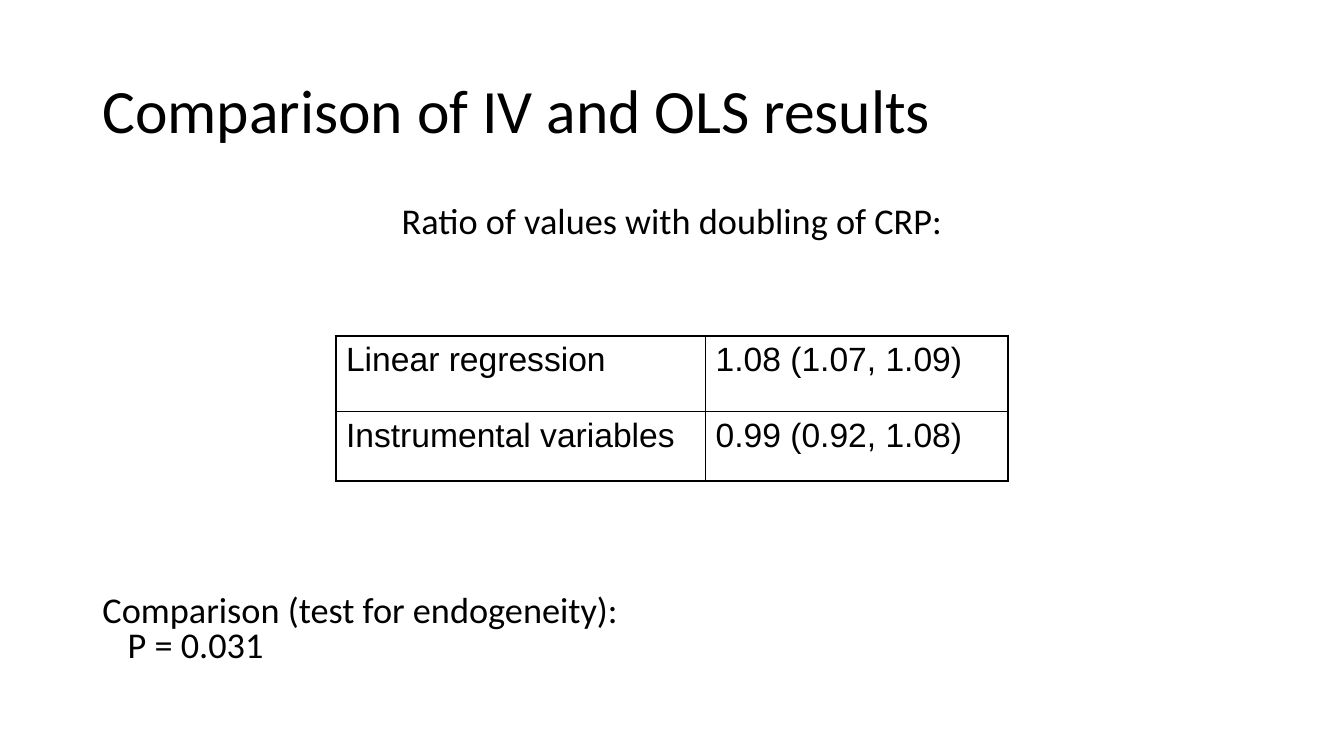
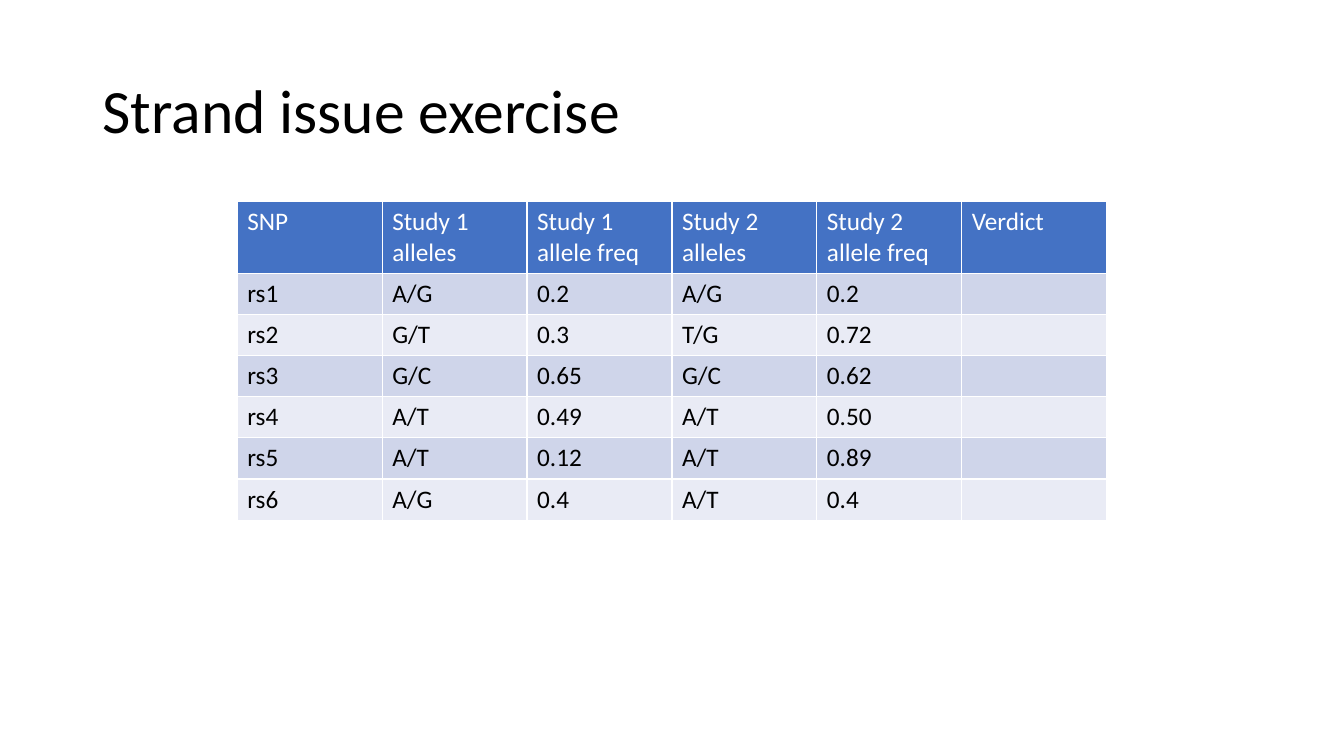
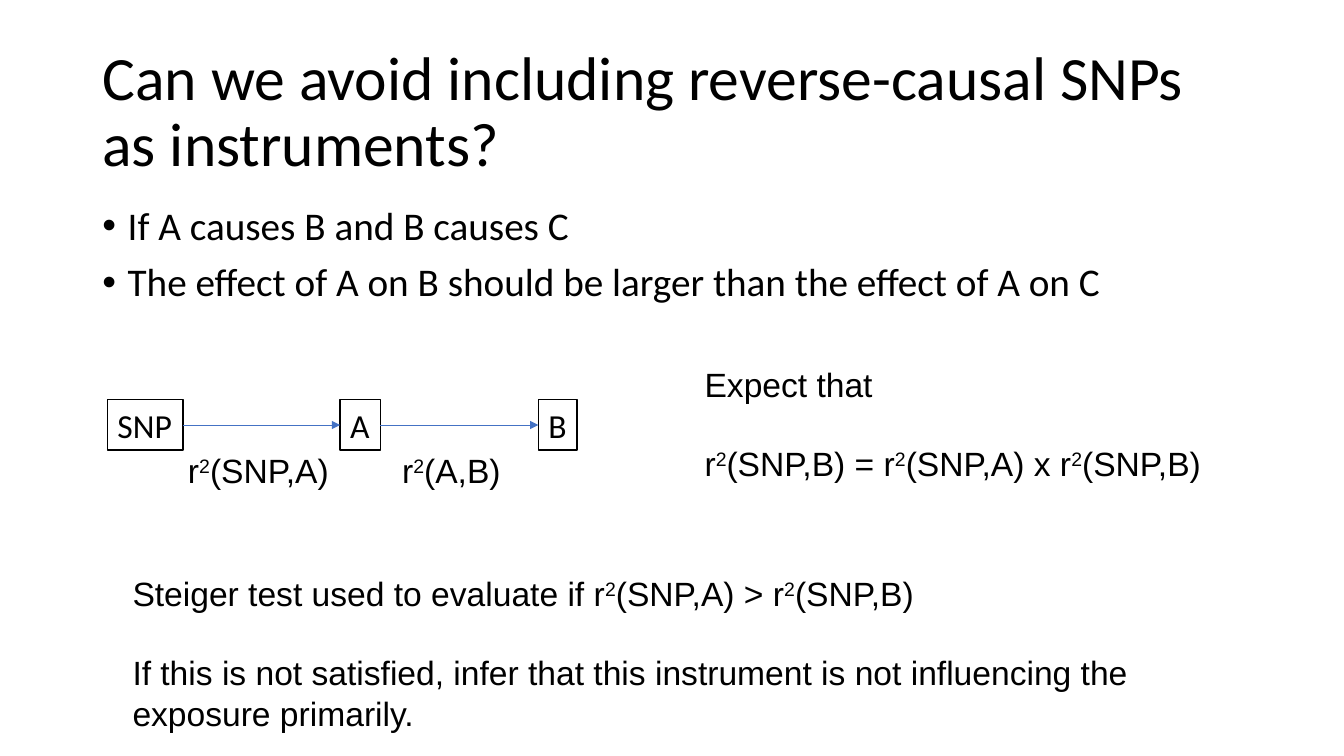
import dataclasses
import lxml.etree
import pptx
import pptx.dml.color
import pptx.enum.dml
import pptx.enum.shapes
import pptx.enum.text
import pptx.oxml.ns
import pptx.util

COLUMNS, ROWS = 160, 90
CELL = pptx.util.Inches(1 / 12)
qn = pptx.oxml.ns.qn


@dataclasses.dataclass(frozen=True)
class Theme:
    heading_font: str = "Calibri"
    plain_font: str = "Arial"
    ink: str = "000000"
    paper: str = "FFFFFF"
    accent: str = "4472C4"
    bands: tuple = ("CFD5EA", "E9EBF5")
    title_size: float = 44
    list_size: float = 28
    note_size: float = 25.9
    label_size: float = 24
    cell_size: float = 18
    thick: float = 2.25
    thin: float = 1
    hairline: float = 0.5


@dataclasses.dataclass(frozen=True)
class Box:
    left: float
    top: float
    width: float
    height: float

    def inner(self, left, top, width, height):
        return Box(self.left + left, self.top + top, width, height)

    def lengths(self):
        return [round(n * CELL) for n in (self.left, self.top, self.width, self.height)]


THEME = Theme()
TITLE = Box(11, 4.8, 138, 17.4)
BODY = Box(11, 24, 138, 57.1)


def colour(value):
    return pptx.dml.color.RGBColor.from_string(value)


def style(para, size, font=THEME.heading_font, ink=THEME.ink):
    para.font.name = font
    para.font.size = pptx.util.Pt(size)
    para.font.bold = False
    para.font.color.rgb = colour(ink)


def move(shape, box):
    shape.left, shape.top, shape.width, shape.height = box.lengths()


def add_page(deck, layout, title):
    page = deck.slides.add_slide(deck.slide_layouts.get_by_name(layout))
    holder = page.shapes.title
    move(holder, TITLE)
    frame = holder.text_frame
    frame.text = title
    frame.auto_size = pptx.enum.text.MSO_AUTO_SIZE.NONE
    frame.vertical_anchor = pptx.enum.text.MSO_ANCHOR.MIDDLE
    para = frame.paragraphs[0]
    para.alignment = pptx.enum.text.PP_ALIGN.LEFT
    para.line_spacing = 0.9
    style(para, THEME.title_size)
    return page


def fill_body(page, box, lines, size, spacing, gap, bullet=None):
    holder = page.placeholders[1]
    move(holder, box)
    frame = holder.text_frame
    frame.text = "\n".join(lines)
    frame.auto_size = pptx.enum.text.MSO_AUTO_SIZE.NONE
    for index, para in enumerate(frame.paragraphs):
        para.line_spacing = spacing
        para.space_before = pptx.util.Pt(gap if index else 0)
        props = para._p.get_or_add_pPr()
        props.set("marL", str(3 * CELL))
        props.set("indent", str(-3 * CELL))
        if bullet:
            lxml.etree.SubElement(props, qn("a:buChar")).set("char", bullet)
        else:
            lxml.etree.SubElement(props, qn("a:buNone"))
        style(para, size)
    return frame


def add_grid(page, box, texts, widths, heights):
    table = page.shapes.add_table(len(texts), len(widths), *box.lengths()).table
    for column, width in zip(table.columns, widths):
        column.width = round(width * CELL)
    for row, height in zip(table.rows, heights):
        row.height = round(height * CELL)
    for row, values in zip(table.rows, texts):
        for cell, value in zip(row.cells, values):
            cell.text = value
    return table


def add_border(cell, side, width):
    line = lxml.etree.SubElement(cell._tc.get_or_add_tcPr(), qn("a:" + side))
    line.set("w", str(pptx.util.Pt(width)))
    solid = lxml.etree.SubElement(line, qn("a:solidFill"))
    lxml.etree.SubElement(solid, qn("a:srgbClr")).set("val", THEME.ink)


def add_result_table(page, box, texts):
    table = add_grid(page, box, texts, (44, 36), (9, 8.25))
    table.first_row = table.horz_banding = False
    last_row, last_column = len(table.rows) - 1, len(table.columns) - 1
    for y, row in enumerate(table.rows):
        for x, cell in enumerate(row.cells):
            outer = {"lnL": x == 0, "lnR": x == last_column,
                     "lnT": y == 0, "lnB": y == last_row}
            for side, is_outer in outer.items():
                add_border(cell, side, THEME.thick if is_outer else THEME.thin)
            cell.fill.background()
            style(cell.text_frame.paragraphs[0], THEME.label_size, THEME.plain_font)


def add_banded_table(page, box, texts):
    count = len(texts[0])
    heights = [8.4] + [4.9] * (len(texts) - 1)
    table = add_grid(page, box, texts, [box.width / count] * count, heights)
    for y, row in enumerate(table.rows):
        fill, ink = (THEME.bands[(y - 1) % 2], THEME.ink) if y else (THEME.accent, THEME.paper)
        for cell in row.cells:
            cell.fill.solid()
            cell.fill.fore_color.rgb = colour(fill)
            style(cell.text_frame.paragraphs[0], THEME.cell_size, ink=ink)


def add_text(page, box, lines, font=THEME.plain_font, wrap=True):
    shape = page.shapes.add_textbox(*box.lengths())
    frame = shape.text_frame
    frame.word_wrap = wrap
    frame.auto_size = pptx.enum.text.MSO_AUTO_SIZE.SHAPE_TO_FIT_TEXT
    for index, line in enumerate(lines):
        para = frame.add_paragraph() if index else frame.paragraphs[0]
        para.space_before = pptx.util.Pt(28 if index else 0)
        for part, text in enumerate(line.split("^")):
            if part:
                power = para.add_run()
                power.text = text[0]
                power._r.get_or_add_rPr().set("baseline", "30000")
                text = text[1:]
            para.add_run().text = text
        style(para, THEME.label_size, font)
    return shape


def add_node(page, box, text):
    node = add_text(page, box, [text], THEME.heading_font, wrap=False)
    node.fill.solid()
    node.fill.fore_color.rgb = colour(THEME.paper)
    node.line.color.rgb = colour(THEME.ink)
    node.line.width = pptx.util.Pt(THEME.thin)
    return node


def add_arrow(page, start, end):
    arrow = page.shapes.add_connector(pptx.enum.shapes.MSO_CONNECTOR.STRAIGHT, 0, 0, 0, 0)
    arrow.begin_connect(start, 3)
    arrow.end_connect(end, 1)
    arrow.line.color.rgb = colour(THEME.accent)
    arrow.line.width = pptx.util.Pt(THEME.hairline)
    lxml.etree.SubElement(arrow.line._get_or_add_ln(), qn("a:tailEnd")).set("type", "triangle")
    lxml.etree.SubElement(arrow._element.spPr, qn("a:effectLst"))


def add_causal_chain(page, box):
    nodes = [add_node(page, box.inner(left, 0, width, 6), text)
             for left, width, text in ((0, 9, "SNP"), (27.7, 4.8, "A"), (51.3, 4.6, "B"))]
    for start, end in zip(nodes, nodes[1:]):
        add_arrow(page, start, end)
    for left, width, text in ((8.4, 19.6, "r^2(SNP,A)"), (33.9, 14.4, "r^2(A,B)")):
        add_text(page, box.inner(left, 5.4, width, 6), [text], wrap=False)


def build_comparison(deck):
    page = add_page(deck, "Title and Content", "Comparison of IV and OLS results")
    lines = ["Ratio of values with doubling of CRP:",
             "Comparison (test for endogeneity):\vP = 0.031"]
    frame = fill_body(page, BODY, lines, THEME.note_size, 0.8, 253)
    frame.paragraphs[0].alignment = pptx.enum.text.PP_ALIGN.CENTER
    add_result_table(page, Box(40, 40, 80, 17.25), [
        ["Linear regression", "1.08 (1.07, 1.09)"],
        ["Instrumental variables", "0.99 (0.92, 1.08)"]])


def build_exercise(deck):
    page = add_page(deck, "Title Only", "Strand issue exercise")
    add_banded_table(page, Box(28.25, 24, 103.5, 37.8), [
        ["SNP", "Study 1 alleles", "Study 1 allele freq",
         "Study 2 alleles", "Study 2 allele freq", "Verdict"],
        ["rs1", "A/G", "0.2", "A/G", "0.2", ""],
        ["rs2", "G/T", "0.3", "T/G", "0.72", ""],
        ["rs3", "G/C", "0.65", "G/C", "0.62", ""],
        ["rs4", "A/T", "0.49", "A/T", "0.50", ""],
        ["rs5", "A/T", "0.12", "A/T", "0.89", ""],
        ["rs6", "A/G", "0.4", "A/T", "0.4", ""]])


def build_reverse_causal(deck):
    page = add_page(deck, "Title and Content",
                    "Can we avoid including reverse-causal SNPs as instruments?")
    lines = ["If A causes B and B causes C",
             "The effect of A on B should be larger than the effect of A on C"]
    fill_body(page, Box(BODY.left, BODY.top, BODY.width, 17), lines,
              THEME.list_size, 0.9, 10, "•")
    add_causal_chain(page, Box(12.8, 47.6, 56, 11.4))
    add_text(page, Box(82.7, 42.7, 69.8, 15.7),
             ["Expect that", "r^2(SNP,B) = r^2(SNP,A) x r^2(SNP,B)"])
    add_text(page, Box(14.6, 67.6, 126.7, 20.6), [
        "Steiger test used to evaluate if r^2(SNP,A) > r^2(SNP,B)",
        "If this is not satisfied, infer that this instrument is not influencing "
        "the exposure primarily."])


def main():
    deck = pptx.Presentation()
    deck.slide_width, deck.slide_height = COLUMNS * CELL, ROWS * CELL
    build_comparison(deck)
    build_exercise(deck)
    build_reverse_causal(deck)
    deck.save("out.pptx")


if __name__ == "__main__":
    main()
